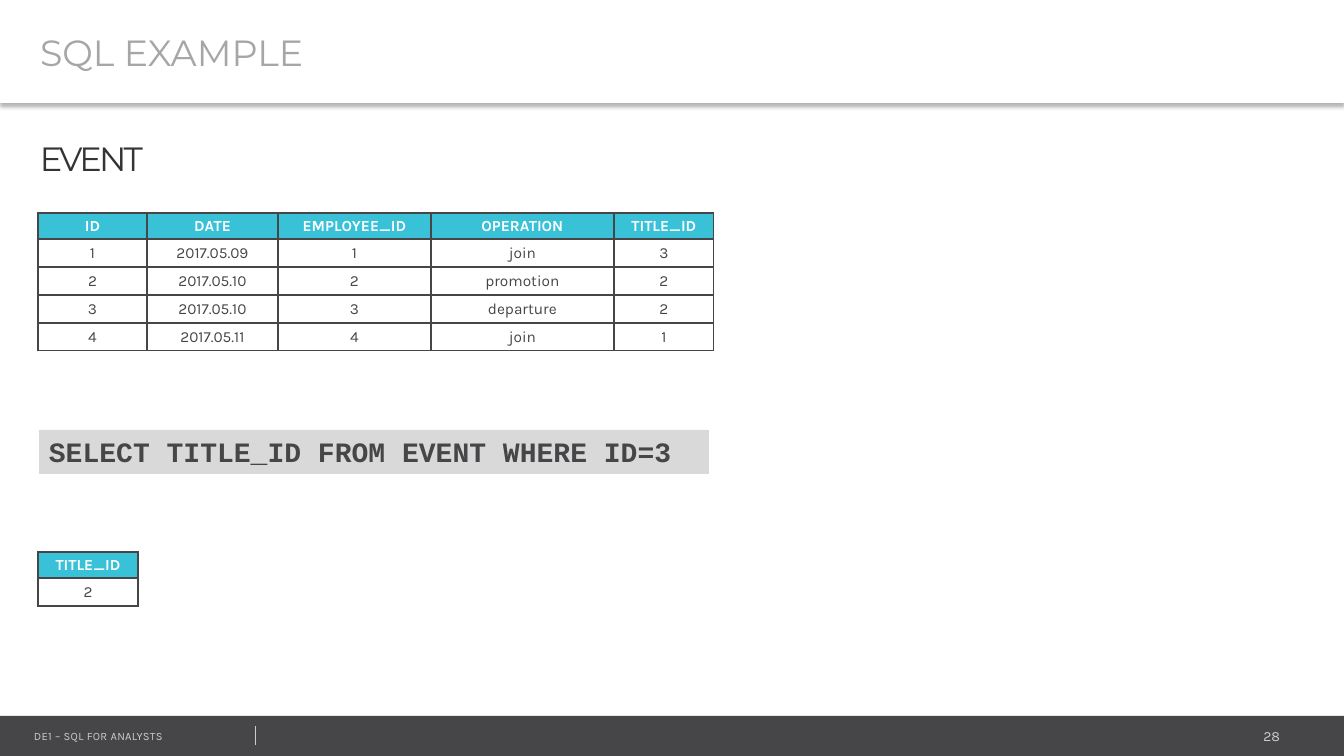
from dataclasses import dataclass

from lxml import etree
from pptx import Presentation
from pptx.dml.color import RGBColor
from pptx.enum.shapes import MSO_CONNECTOR, MSO_SHAPE
from pptx.enum.text import MSO_ANCHOR, PP_ALIGN
from pptx.oxml import parse_xml
from pptx.oxml.ns import qn
from pptx.util import Pt

LEFT, MID, RIGHT = PP_ALIGN.LEFT, PP_ALIGN.CENTER, PP_ALIGN.RIGHT
TOP, CENTER = MSO_ANCHOR.TOP, MSO_ANCHOR.MIDDLE
RECT, LINE = MSO_SHAPE.RECTANGLE, MSO_CONNECTOR.STRAIGHT
WIDE, HIGH = 1344, 756
SCALE = 12192000 / WIDE
NS = "http://schemas.openxmlformats.org/drawingml/2006/main"


@dataclass(frozen=True)
class Style:
    size: int
    face: str
    color: str
    bold: bool = False
    track: int = 0


@dataclass(frozen=True)
class Theme:
    dark: str = "464547"
    pale: str = "CCCCCC"
    code_fill: str = "D9D9D9"
    teal: str = "39C2D7"
    white: str = "FFFFFF"
    title: Style = Style(26, "Montserrat", "A6A6A6")
    label: Style = Style(24, "Montserrat", "353435", track=-200)
    code: Style = Style(20, "Courier New", "464547", True)
    head: Style = Style(11, "Karla", "FFFFFF", True)
    cell: Style = Style(11, "Karla", "464547")
    foot: Style = Style(8, "Karla", "CCCCCC", track=20)
    page: Style = Style(10, "Karla", "CCCCCC")


THEME = Theme()
EVENT = [
    ["ID", "DATE", "EMPLOYEE_ID", "OPERATION", "TITLE_ID"],
    ["1", "2017.05.09", "1", "join", "3"],
    ["2", "2017.05.10", "2", "promotion", "2"],
    ["3", "2017.05.10", "3", "departure", "2"],
    ["4", "2017.05.11", "4", "join", "1"],
]
RESULT = [["TITLE_ID"], ["2"]]


def px(*sizes):
    return [round(size * SCALE) for size in sizes]


def write(frame, text, style, align=LEFT):
    para = frame.paragraphs[0]
    para.alignment = align
    run = para.add_run()
    run.text = text
    font = run.font
    font.size, font.name, font.bold = Pt(style.size), style.face, style.bold
    font.color.rgb = RGBColor.from_string(style.color)
    if style.track:
        font._element.set("spc", str(style.track))


def label(slide, box, text, style, align=LEFT, wrap=True):
    frame = slide.shapes.add_textbox(*px(*box)).text_frame
    frame.word_wrap = wrap
    write(frame, text, style, align)


def panel(slide, box, fill):
    shape = slide.shapes.add_shape(RECT, *px(*box))
    shape.shadow.inherit = False
    shape.fill.solid()
    shape.fill.fore_color.rgb = RGBColor.from_string(fill)
    shape.line.fill.background()
    shape.text_frame.word_wrap = True
    return shape


def footer(slide, box, text, page):
    x, y, w, h = box
    panel(slide, box, THEME.dark)
    label(slide, (x + w - 274, y + 7, 220, 27), page, THEME.page, RIGHT)
    label(slide, (x + 24, y + 8, 341, 24), text, THEME.foot)
    rule = slide.shapes.add_connector(LINE, *px(x + 255, y + 10, x + 255, y + 29))
    rule.line.color.rgb = RGBColor.from_string(THEME.pale)
    rule.line.width = Pt(0.25)
    etree.SubElement(rule._element.spPr, qn("a:effectLst"))


def header(slide, box, text):
    shape = panel(slide, box, THEME.white)
    shape._element.spPr.find(qn("a:effectLst")).append(parse_xml(
        f'<a:outerShdw xmlns:a="{NS}" blurRad="{Pt(3.1)}" dist="{Pt(2)}" '
        'dir="5400000" algn="t" rotWithShape="0"><a:srgbClr val="000000">'
        '<a:alpha val="30000"/></a:srgbClr></a:outerShdw>'))
    frame = shape.text_frame
    frame.margin_left = px(40)[0]
    frame.vertical_anchor = CENTER
    write(frame, text, THEME.title)


def query(slide, box, text):
    frame = panel(slide, box, THEME.code_fill).text_frame
    frame.vertical_anchor = TOP
    write(frame, text, THEME.code)


def border(cell):
    props = cell._tc.get_or_add_tcPr()
    for spot, side in enumerate(("lnL", "lnR", "lnT", "lnB")):
        props.insert(spot, parse_xml(
            f'<a:{side} xmlns:a="{NS}" w="{Pt(1)}"><a:solidFill>'
            f'<a:srgbClr val="{THEME.dark}"/></a:solidFill></a:{side}>'))


def grid(slide, place, data, widths):
    highs = [26] + [28] * (len(data) - 1)
    box = (*place, sum(widths), sum(highs))
    table = slide.shapes.add_table(len(data), len(widths), *px(*box)).table
    for col, width in zip(table.columns, px(*widths)):
        col.width = width
    for row, high in zip(table.rows, px(*highs)):
        row.height = high
    for r, line in enumerate(data):
        fill, style = (THEME.white, THEME.cell) if r else (THEME.teal, THEME.head)
        for c, text in enumerate(line):
            cell = table.cell(r, c)
            cell.fill.solid()
            cell.fill.fore_color.rgb = RGBColor.from_string(fill)
            cell.vertical_anchor = CENTER
            cell.margin_left = cell.margin_right = cell.margin_top = px(1)[0]
            cell.margin_bottom = 0
            write(cell.text_frame, text, style, MID)
            border(cell)


def main():
    deck = Presentation()
    deck.slide_width, deck.slide_height = px(WIDE, HIGH)
    slide = deck.slides.add_slide(deck.slide_layouts[6])
    footer(slide, (0, 716, WIDE, 40), "DE1 – SQL FOR ANALYSTS", "28")
    header(slide, (0, 0, WIDE, 103), "SQL EXAMPLE")
    query(slide, (39, 430, 670, 44), "SELECT TITLE_ID FROM EVENT WHERE ID=3")
    grid(slide, (38, 213), EVENT, [109, 131, 153, 183, 100])
    label(slide, (30, 133, 134, 50), "EVENT", THEME.label, wrap=False)
    grid(slide, (38, 552), RESULT, [100])
    deck.save("out.pptx")


if __name__ == "__main__":
    main()
